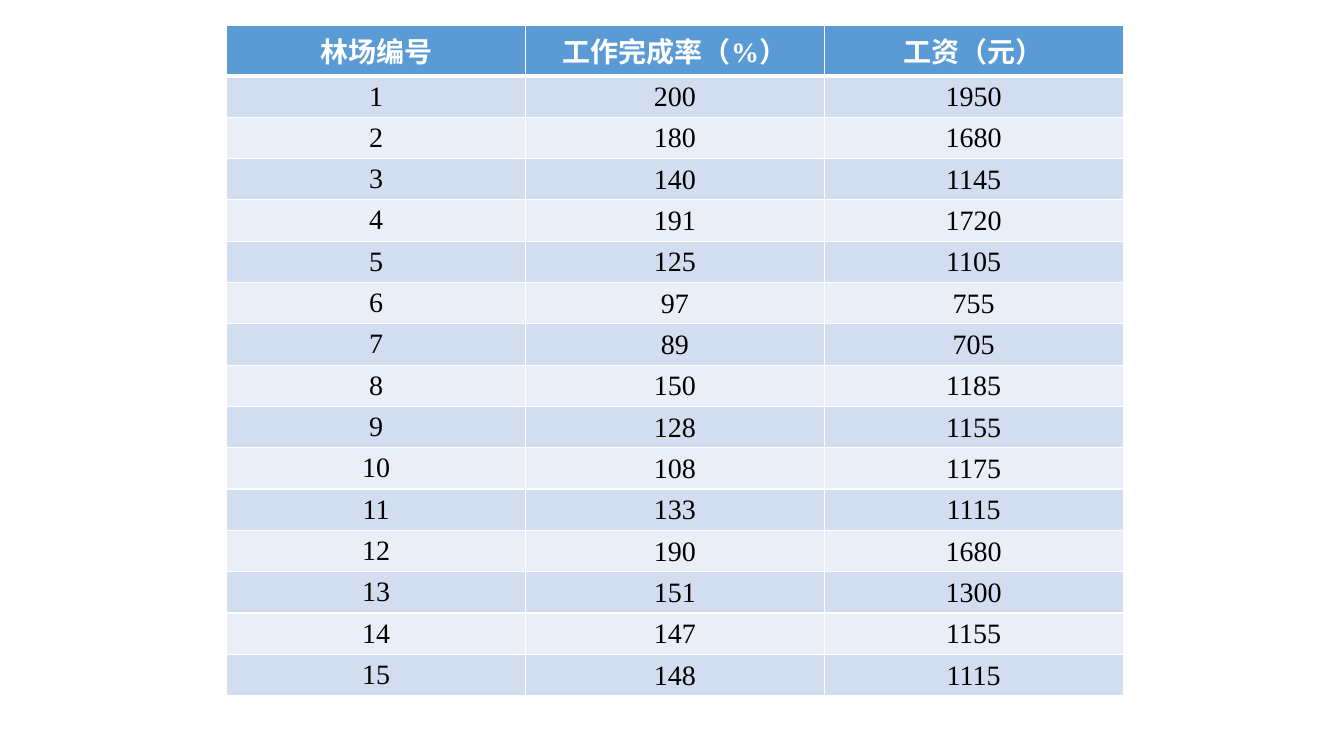
from dataclasses import dataclass

from lxml import etree
from pptx import Presentation
from pptx.dml.color import RGBColor
from pptx.enum.text import MSO_ANCHOR, PP_ALIGN
from pptx.oxml.ns import qn
from pptx.util import Inches, Pt

CENTER = PP_ALIGN.CENTER
MIDDLE = MSO_ANCHOR.MIDDLE

HEADINGS = ["林场编号", "工作完成率（%）", "工资（元）"]
COMPLETION_RATES = [200, 180, 140, 191, 125, 97, 89, 150, 128, 108, 133, 190, 151, 147, 148]
WAGES = [1950, 1680, 1145, 1720, 1105, 755, 705, 1185, 1155, 1175, 1115, 1680, 1300, 1155, 1115]


@dataclass(frozen=True)
class Theme:
    font: str = "Times New Roman"
    size: float = 20
    header_fill: str = "5B9BD5"
    header_text: str = "FFFFFF"
    body_text: str = "000000"
    bands: tuple = ("D2DEEF", "EAEFF7")
    border: str = "FFFFFF"
    thin: float = 1
    thick: float = 3


def write_text(frame, text, *, font, size, color, bold=False, align=CENTER):
    para = frame.paragraphs[0]
    para.alignment = align
    span = para.add_run()
    span.text = text
    span.font.name = font
    span.font.size = Pt(size)
    span.font.bold = bold
    span.font.color.rgb = RGBColor.from_string(color)


class SlideBuilder:
    def __init__(self, page, theme):
        self.page = page
        self.theme = theme

    def borders(self, cell, top, bottom):
        properties = cell._tc.get_or_add_tcPr()
        widths = {"lnL": self.theme.thin, "lnR": self.theme.thin, "lnT": top, "lnB": bottom}
        for side, width in widths.items():
            line = etree.SubElement(properties, qn(f"a:{side}"), w=str(Pt(width)))
            fill = etree.SubElement(line, qn("a:solidFill"))
            etree.SubElement(fill, qn("a:srgbClr"), val=self.theme.border)

    def cell(self, cell, text, row, column):
        theme = self.theme
        header = row == 0
        self.borders(
            cell,
            top=theme.thick if row == 1 else theme.thin,
            bottom=theme.thick if header else theme.thin,
        )
        cell.fill.solid()
        fill = theme.header_fill if header else theme.bands[(row - 1) % 2]
        cell.fill.fore_color.rgb = RGBColor.from_string(fill)
        if not header and column > 0:
            cell.vertical_anchor = MIDDLE
            cell.margin_left = cell.margin_right = cell.margin_top = Inches(0.01)
            cell.margin_bottom = 0
        write_text(
            cell.text_frame,
            text,
            font=theme.font,
            size=theme.size,
            color=theme.header_text if header else theme.body_text,
            bold=header,
        )

    def table(self, records, left, top, width, row_height):
        height = row_height * len(records)
        frame = self.page.shapes.add_table(
            len(records), len(records[0]), Inches(left), Inches(top), Inches(width), Inches(height)
        )
        for row, record in enumerate(records):
            for column, value in enumerate(record):
                self.cell(frame.table.cell(row, column), str(value), row, column)


def main():
    deck = Presentation()
    deck.slide_width = Inches(13.33)
    deck.slide_height = Inches(7.5)
    page = deck.slides.add_slide(deck.slide_layouts[6])
    farms = range(1, len(WAGES) + 1)
    records = [HEADINGS, *zip(farms, COMPLETION_RATES, WAGES)]
    SlideBuilder(page, Theme()).table(records, left=2.25, top=0.25, width=8.89, row_height=0.41)
    deck.save("out.pptx")


if __name__ == "__main__":
    main()
